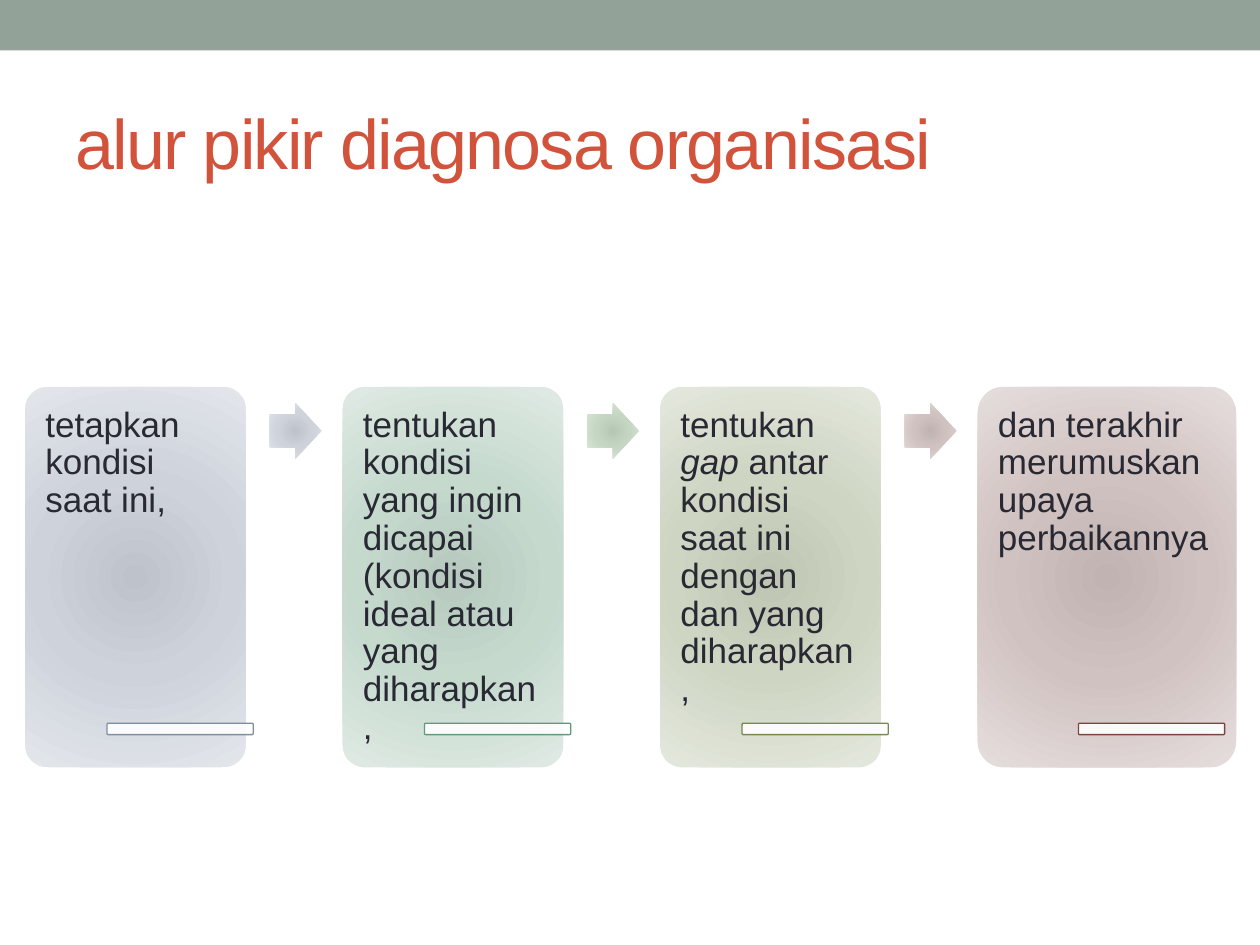
"""Build a slide showing the four steps of an organisational diagnosis."""
import pptx
import pptx.dml.color
import pptx.enum.shapes
import pptx.enum.text
import pptx.oxml
import pptx.oxml.ns
import pptx.util

Inches = pptx.util.Inches
Pt = pptx.util.Pt
SHAPES = pptx.enum.shapes.MSO_SHAPE
ANCHOR = pptx.enum.text.MSO_ANCHOR
ALIGN = pptx.enum.text.PP_ALIGN

PITCH = 2.52
FIRST_LEFT = 0.2
CARD_TOP = 3.07
CARD_HEIGHT = 3.02
STOP_POSITIONS = (0, 45, 100)
BLUE = ("BEC3CB", "CDD2DB", "E3E6EB")
GREEN = ("B7C9BE", "C5D9CD", "DFEAE4")
LEAF = ("B7C7B5", "C5D7C3", "DFE9DE")
OLIVE = ("BEC5B3", "CED5C2", "E4E8DE")
RED = ("C0B3B1", "D0C2C0", "E5DEDD")

# Each step: text runs, card width, bar offset, card, bar and arrow colours.
STEPS = [
    ([("tetapkan kondisi saat ini,", False)], 1.75, 0.65, BLUE, "808DA0", BLUE),
    ([("tentukan kondisi yang ingin dicapai (kondisi ideal atau yang diharapkan,", False)],
     1.75, 0.65, GREEN, "64987C", LEAF),
    ([("tentukan ", False), ("gap ", True),
      ("antar kondisi saat ini dengan dan yang diharapkan,", False)],
     1.75, 0.65, OLIVE, "788A50", RED),
    ([("dan terakhir merumuskan upaya perbaikannya", False)],
     2.05, 0.8, RED, "79463D", None),
]


def color(value):
    """Return the colour for a hex string."""
    return pptx.dml.color.RGBColor.from_string(value)


def apply_format(target, values):
    """Set each attribute in values on the target."""
    for attribute, value in values.items():
        setattr(target, attribute, value)


def format_font(font, size, hex_color, italic=False):
    """Set the typeface, size, colour and slant of a font."""
    apply_format(font, {"name": "Arial", "size": Pt(size), "italic": italic})
    font.color.rgb = color(hex_color)


def add_plain_shape(slide, kind, box, adjustments=()):
    """Add a preset shape without shadow or outline."""
    shape = slide.shapes.add_shape(kind, *map(Inches, box))
    shape.shadow.inherit = False
    shape.line.fill.background()
    for index, value in enumerate(adjustments):
        shape.adjustments[index] = value
    return shape


def fill_radial(shape, stops):
    """Fill a shape with a circular gradient."""
    stop_xml = "".join(
        f'<a:gs pos="{position * 1000}"><a:srgbClr val="{value}"/></a:gs>'
        for position, value in zip(STOP_POSITIONS, stops))
    gradient = pptx.oxml.parse_xml(
        f'<a:gradFill {pptx.oxml.ns.nsdecls("a")} rotWithShape="1">'
        f'<a:gsLst>{stop_xml}</a:gsLst><a:path path="circle">'
        '<a:fillToRect l="100000" t="100000" r="100000" b="100000"/>'
        '</a:path></a:gradFill>')
    geometry = shape.element.spPr.find(pptx.oxml.ns.qn("a:prstGeom"))
    geometry.addnext(gradient)


def add_header(slide):
    """Add the band across the top of the slide."""
    band = add_plain_shape(slide, SHAPES.RECTANGLE, (0, 0, 10, 0.4))
    band.fill.solid()
    band.fill.fore_color.rgb = color("93A299")


def format_title(slide, text):
    """Place the title placeholder and write its text."""
    title = slide.shapes.title
    apply_format(title, {"left": Inches(0.5), "top": Inches(0.58),
                         "width": Inches(9), "height": Inches(1.08)})
    title.text_frame.vertical_anchor = ANCHOR.MIDDLE
    paragraph = title.text_frame.paragraphs[0]
    paragraph.alignment = ALIGN.LEFT
    run = paragraph.add_run()
    run.text = text
    format_font(run.font, 40, "D2533C")
    run.font._element.set("spc", "-100")


def add_step_text(slide, left, width, runs):
    """Add the wording of one step."""
    box = slide.shapes.add_textbox(*map(Inches, (left, CARD_TOP, width, 0.7)))
    frame = box.text_frame
    apply_format(frame, {
        "word_wrap": True, "vertical_anchor": ANCHOR.TOP,
        "margin_left": Inches(0.16), "margin_top": Inches(0.16),
        "margin_right": Inches(0.16), "margin_bottom": Inches(0.08)})
    paragraph = frame.paragraphs[0]
    apply_format(paragraph, {"line_spacing": 0.9, "alignment": ALIGN.LEFT})
    for text, italic in runs:
        run = paragraph.add_run()
        run.text = text
        format_font(run.font, 20, "292934", italic)


def add_bar(slide, left, line_color):
    """Add the thin translucent bar at the foot of a card."""
    bar = add_plain_shape(slide, SHAPES.ROUNDED_RECTANGLE, (left, 5.74, 1.16, 0.09), [0.1])
    bar.fill.solid()
    bar.fill.fore_color.rgb = color("FFFFFF")
    bar.line.color.rgb = color(line_color)
    bar.line.width = Pt(0.75)
    white = bar.element.spPr.find(".//" + pptx.oxml.ns.qn("a:srgbClr"))
    white.append(pptx.oxml.parse_xml(
        f'<a:alpha {pptx.oxml.ns.nsdecls("a")} val="90000"/>'))


def add_step(slide, left, runs, width, bar_offset, card_stops, bar_color, arrow_stops):
    """Add a card with its text, its bar and the arrow to the next step."""
    card = add_plain_shape(slide, SHAPES.ROUNDED_RECTANGLE,
                           (left, CARD_TOP, width, CARD_HEIGHT), [0.1])
    fill_radial(card, card_stops)
    add_step_text(slide, left, width, runs)
    add_bar(slide, left + bar_offset, bar_color)
    if arrow_stops:
        arrow = add_plain_shape(slide, SHAPES.RIGHT_ARROW,
                                (left + 1.94, 3.2, 0.41, 0.44), [0.6, 0.5])
        fill_radial(arrow, arrow_stops)


def main():
    """Build and save the slide."""
    presentation = pptx.Presentation()
    apply_format(presentation, {"slide_width": Inches(10), "slide_height": Inches(7.5)})
    slide = presentation.slides.add_slide(presentation.slide_layouts[5])
    add_header(slide)
    format_title(slide, "alur pikir diagnosa organisasi")
    for index, step in enumerate(STEPS):
        add_step(slide, FIRST_LEFT + index * PITCH, *step)
    presentation.save("out.pptx")


if __name__ == "__main__":
    main()
